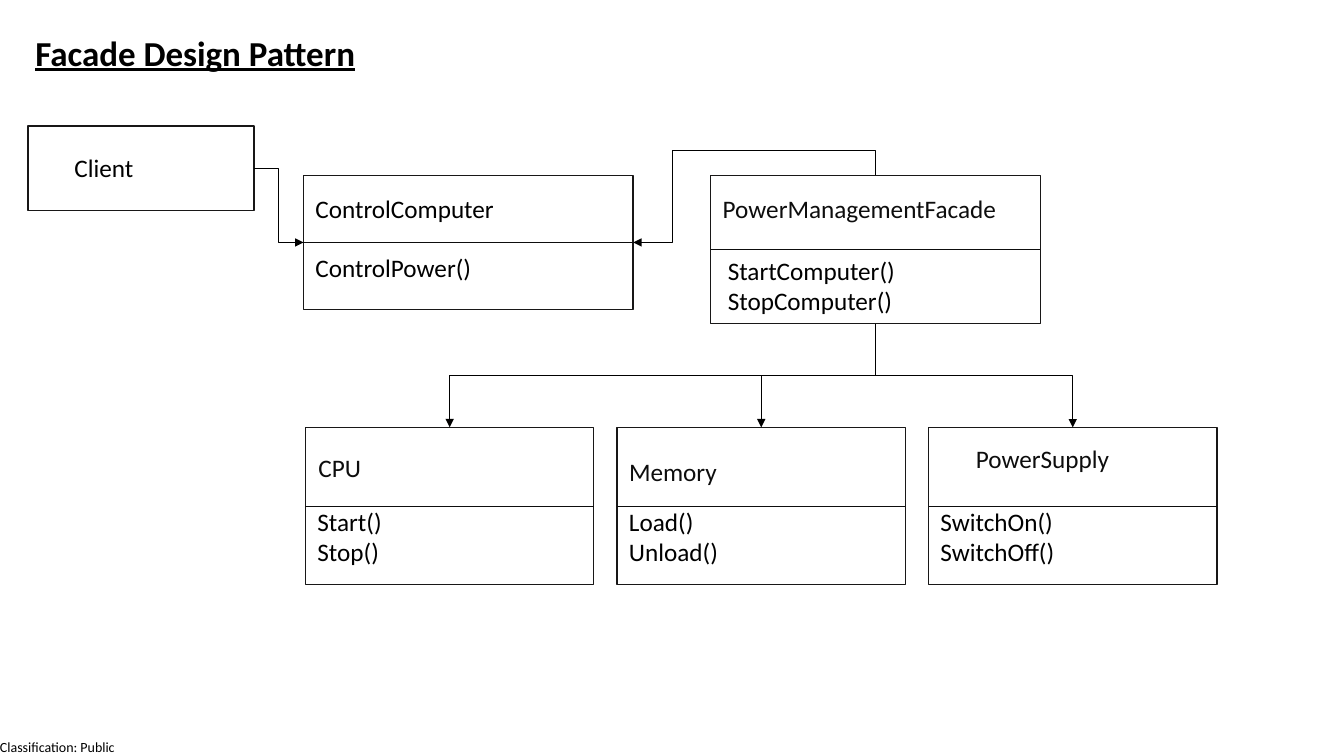
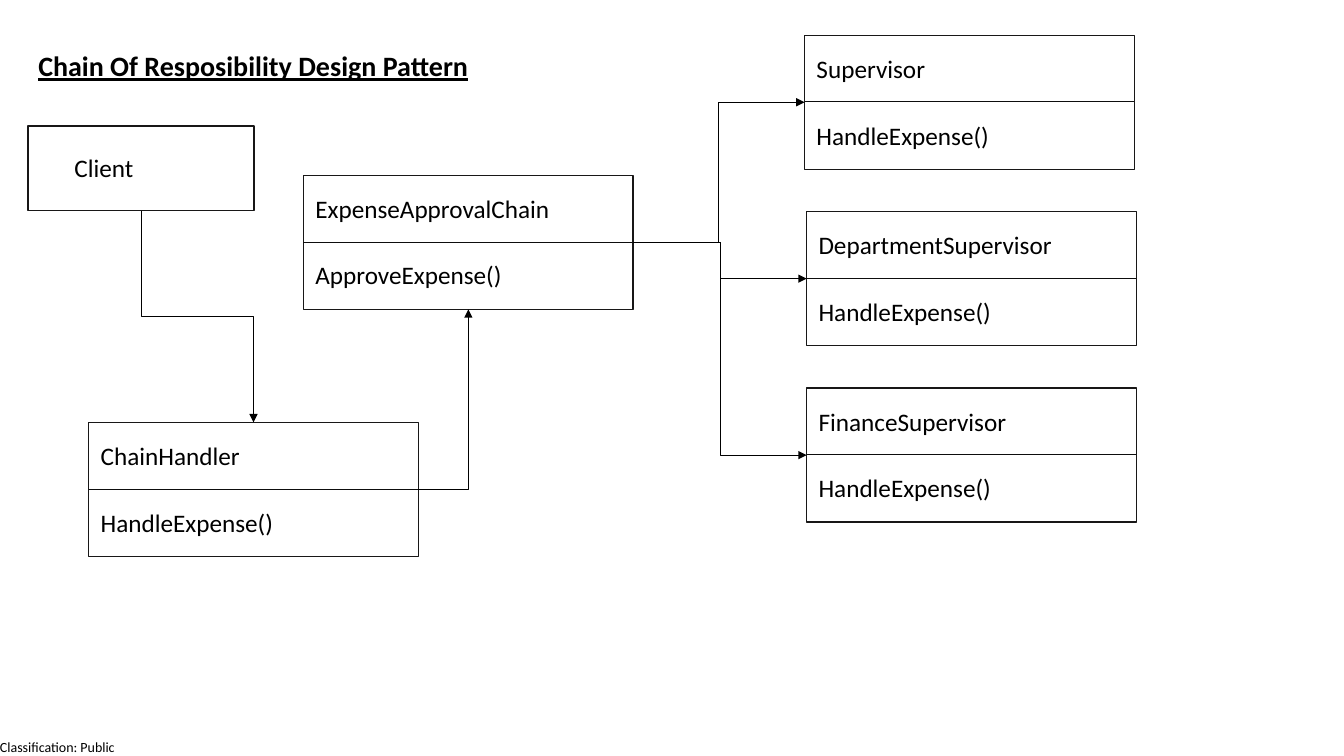
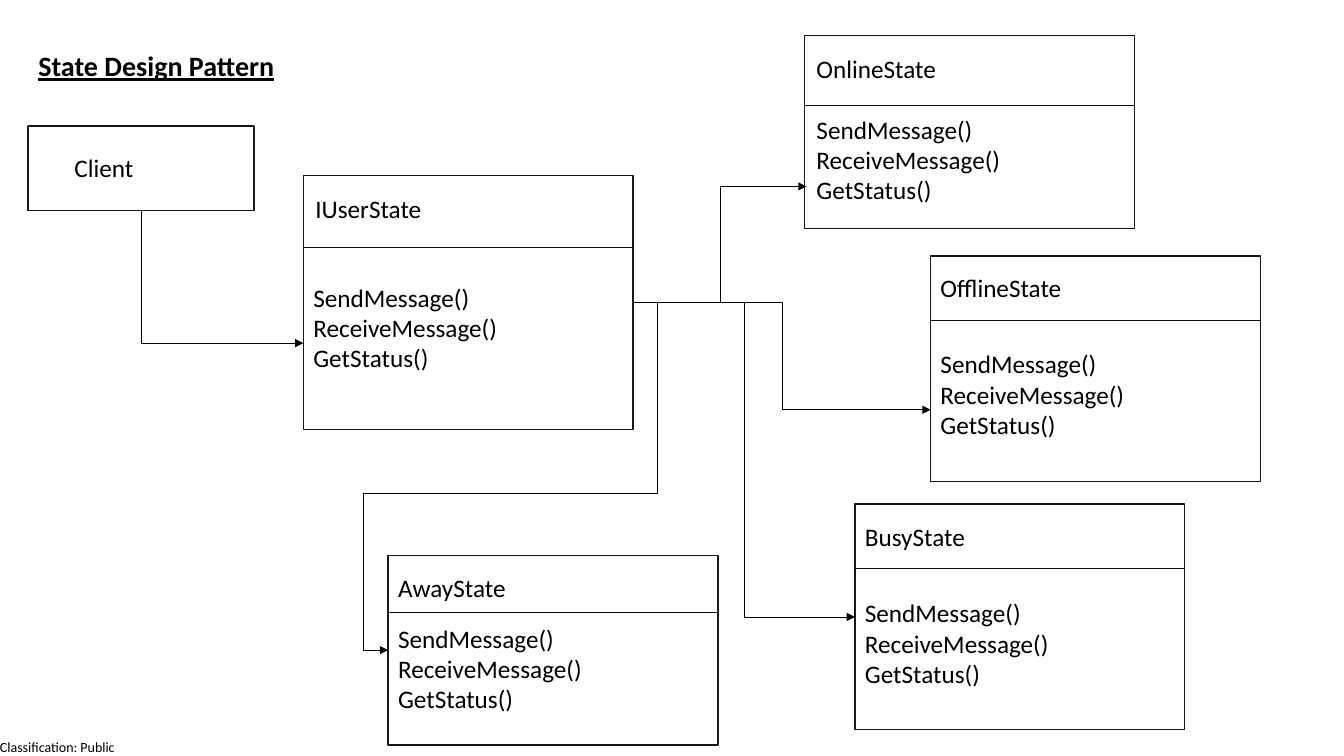
from lxml import etree
from pptx import Presentation
from pptx.dml.color import RGBColor
from pptx.enum.shapes import MSO_CONNECTOR as CONN, MSO_SHAPE as SHAPE
from pptx.enum.text import MSO_ANCHOR as ANCHOR, MSO_AUTO_SIZE as AUTO, PP_ALIGN as ALIGN
from pptx.oxml.ns import qn
from pptx.util import Emu, Inches, Pt

TOP, LEFT, BOTTOM, RIGHT = range(4)
INK, DARK, BORDER = "000000", "0D0D0D", "181717"
TITLE = {"size": Pt(20), "bold": True, "underline": True}
BIG_TITLE = {**TITLE, "size": Pt(25)}
FRAME = {"word_wrap": True, "auto_size": AUTO.NONE, "vertical_anchor": ANCHOR.TOP}
FLUSH = {"margin_left": 0, "margin_top": 0, "margin_right": 0, "margin_bottom": 0,
         "word_wrap": False}
MESSAGING = ["SendMessage()", "ReceiveMessage()", "GetStatus()"]


def rgb(value):
    return RGBColor.from_string(value)


def apply(obj, values):
    for name, value in values.items():
        setattr(obj, name, value)


class Deck:
    font = {"name": "Calibri", "size": Pt(18)}

    def __init__(self):
        self.prs = Presentation()
        apply(self.prs, {"slide_width": Inches(13.33), "slide_height": Inches(7.5)})
        self.slide = None

    def add_slide(self, title, at, style):
        self.slide = self.prs.slides.add_slide(self.prs.slide_layouts[5])
        sp = self.slide.shapes.title
        apply(sp, dict(zip(("left", "top", "width", "height"), map(Inches, at))))
        self.set_text(sp, [title], style)

    def set_text(self, sp, lines, font={}, frame={}, color=INK):
        tf = sp.text_frame
        apply(tf, {**FRAME, **frame})
        for i, line in enumerate(lines):
            p = tf.add_paragraph() if i else tf.paragraphs[0]
            p.alignment = ALIGN.LEFT
            r = p.add_run()
            r.text = line
            apply(r.font, {**self.font, **font})
            r.font.color.rgb = rgb(color)

    def text(self, at, lines, **style):
        sp = self.slide.shapes.add_textbox(*map(Inches, at))
        self.set_text(sp, lines, **style)
        return sp

    def master_footer(self, label):
        sp = self.text((0, 7.33, 1.17, 0.17), [label], font={"size": Pt(10)}, frame=FLUSH)
        sp.element.nvSpPr.cNvPr.set("id", "20")
        self.prs.slide_master.element.cSld.spTree.append(sp.element)

    def box(self, *at):
        sp = self.slide.shapes.add_shape(SHAPE.RECTANGLE, *map(Inches, at))
        sp.shadow.inherit = False
        sp.fill.background()
        sp.line.width = Pt(1)
        sp.line.color.rgb = rgb(BORDER)
        return sp

    def stroke(self, kind, points, color):
        c = self.slide.shapes.add_connector(kind, *points)
        c.line.width = Pt(0.5)
        c.line.color.rgb = rgb(color)
        etree.SubElement(c.element.spPr, qn("a:effectLst"))
        return c

    def client(self):
        sp = self.box(0.28, 1.25, 2.24, 0.84)
        self.text((0.64, 1.46, 1.5, 0.4), ["Client"])
        return sp

    def class_box(self, at, split, name, methods, body, label=(0.02, 0.13),
                  label_width=2.86, color=INK):
        left, top, width, height = at
        sp = self.box(*at)
        y = top + split
        self.stroke(CONN.STRAIGHT, map(Inches, (left, y, left + width, y)), DARK)
        self.text((left + label[0], top + label[1], label_width, 0.4), [name], color=color)
        n = len(methods)
        body_height = 0.4 if n == 1 else 0.41 + 0.3 * n
        methods_box = self.text((left + body[0], top + body[1], 2.86, body_height), methods)
        return sp, methods_box

    def site(self, sp, side):
        x = {LEFT: 0, RIGHT: sp.width}.get(side, sp.width // 2)
        y = {TOP: 0, BOTTOM: sp.height}.get(side, sp.height // 2)
        return sp.left + x, sp.top + y

    def arrow(self, start, side, end, end_side=None, bends=(0.5,)):
        x1, y1 = self.site(start, side)
        x2, y2 = map(Inches, end) if end_side is None else self.site(end, end_side)
        c = self.stroke(CONN.ELBOW, (x1, y1, x2, y2), INK)
        c.begin_connect(start, side)
        if end_side is not None:
            c.end_connect(end, end_side)
        if side in (TOP, BOTTOM):
            cx, cy, dx, dy = (x1 + x2) // 2, (y1 + y2) // 2, (x2 - x1) // 2, (y2 - y1) // 2
            x1, y1, x2, y2 = cx - dy, cy + dx, cx + dy, cy - dx
            c.element.spPr.find(qn("a:xfrm")).set("rot", "5400000")
        apply(c, {"begin_x": Emu(x1), "begin_y": Emu(y1), "end_x": Emu(x2), "end_y": Emu(y2)})
        geom = c.element.spPr.find(qn("a:prstGeom"))
        geom.set("prst", f"bentConnector{len(bends) + 2}")
        guides = geom.find(qn("a:avLst"))
        for i, bend in enumerate(bends, 1):
            etree.SubElement(guides, qn("a:gd"), name=f"adj{i}",
                             fmla=f"val {round(bend * 100000)}")
        etree.SubElement(c.element.spPr.find(qn("a:ln")), qn("a:tailEnd"), type="triangle")


deck = Deck()

deck.add_slide("Facade Design Pattern", (0.25, 0.26, 4.6, 0.52), BIG_TITLE)
deck.master_footer("Classification: Public")
client = deck.client()
control, _ = deck.class_box((3.01, 1.74, 3.27, 1.33), 0.66, "ControlComputer",
                            ["ControlPower()"], (0.02, 0.71))
facade, _ = deck.class_box((7.05, 1.74, 3.27, 1.47), 0.73, "PowerManagementFacade",
                           ["StartComputer()", "StopComputer()"], (0.07, 0.74),
                           label_width=3.76, color=DARK)
deck.arrow(client, RIGHT, control, LEFT)
deck.arrow(facade, TOP, control, RIGHT, (-0.38, 0.84))
parts = [
    ("CPU", ["Start()", "Stop()"], (0.03, 0.2)),
    ("Memory", ["Load()", "Unload()"], (0.02, 0.24)),
    ("PowerSupply", ["SwitchOn()", "SwitchOff()"], (0.37, 0.11)),
]
for i, (name, methods, label) in enumerate(parts):
    part, _ = deck.class_box((3.03 + 3.09 * i, 4.24, 2.86, 1.56), 0.78, name, methods,
                             (0.02, 0.73), label, 3.29, DARK)
    deck.arrow(facade, BOTTOM, part, TOP)

SMALL_TITLE_AT = (0.28, 0.43, 6.71, 0.44)
deck.add_slide("Chain Of Resposibility Design Pattern", SMALL_TITLE_AT, TITLE)
client = deck.client()
chain, _ = deck.class_box((3.01, 1.74, 3.27, 1.33), 0.66, "ExpenseApprovalChain",
                          ["ApproveExpense()"], (0.02, 0.78))
handler, _ = deck.class_box((0.88, 4.19, 3.27, 1.33), 0.66, "ChainHandler",
                            ["HandleExpense()"], (0.02, 0.79))
deck.arrow(client, BOTTOM, handler, TOP)
deck.arrow(handler, RIGHT, chain, BOTTOM, ())
approvers = [("Supervisor", 7.98), ("DepartmentSupervisor", 8), ("FinanceSupervisor", 8)]
for i, (name, left) in enumerate(approvers):
    approver, _ = deck.class_box((left, 0.35 + 1.75 * i, 3.27, 1.33), 0.66, name,
                                 ["HandleExpense()"], (0.02, 0.79))
    deck.arrow(chain, RIGHT, approver, LEFT)

deck.add_slide("State Design Pattern", SMALL_TITLE_AT, TITLE)
client = deck.client()
state, state_methods = deck.class_box((3.01, 1.74, 3.27, 2.52), 0.71, "IUserState",
                                      MESSAGING, (0, 1.01))
deck.class_box((7.98, 0.35, 3.27, 1.92), 0.7, "OnlineState", MESSAGING, (0.02, 0.73))
busy, _ = deck.class_box((8.48, 5, 3.27, 2.24), 0.64, "BusyState",
                         MESSAGING, (0, 0.88), (0, 0.12))
away, _ = deck.class_box((3.85, 5.51, 3.27, 1.88), 0.57, "AwayState",
                         MESSAGING, (0, 0.62), (0, 0.12))
_, offline_methods = deck.class_box((9.23, 2.54, 3.27, 2.24), 0.64, "OfflineState",
                                    MESSAGING, (0, 0.87), (0, 0.11))
deck.arrow(client, BOTTOM, state_methods, LEFT, ())
deck.arrow(state, RIGHT, (8, 1.85))
deck.arrow(state, RIGHT, busy, LEFT)
deck.arrow(state, RIGHT, away, LEFT, (-0.1, 0.55, 1.1))
deck.arrow(state, RIGHT, offline_methods, LEFT)

deck.prs.save("out.pptx")
